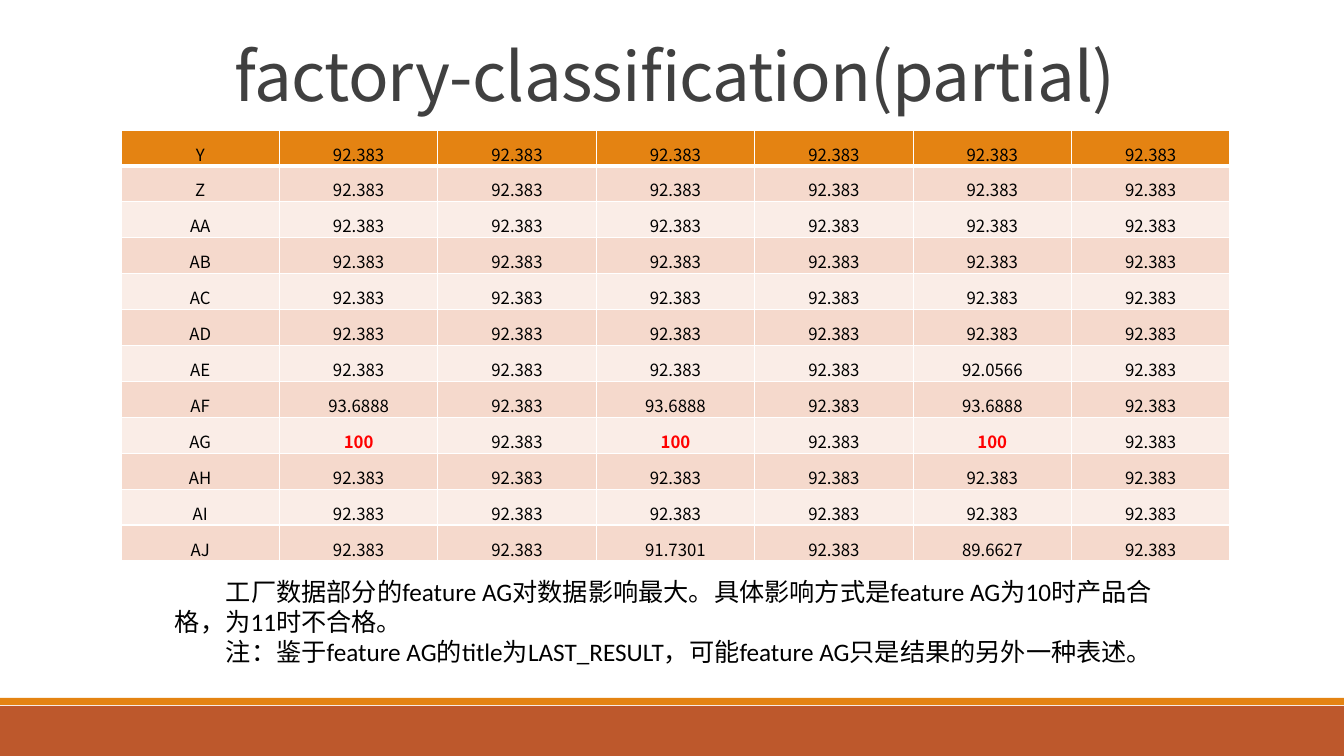
from lxml import etree
from pptx import Presentation
from pptx.dml.color import RGBColor
from pptx.enum.shapes import MSO_SHAPE
from pptx.enum.text import MSO_ANCHOR, PP_ALIGN
from pptx.oxml.ns import qn
from pptx.util import Emu, Pt

RECTANGLE = MSO_SHAPE.RECTANGLE
BOTTOM, TOP = MSO_ANCHOR.BOTTOM, MSO_ANCHOR.TOP
CENTER, LEFT = PP_ALIGN.CENTER, PP_ALIGN.LEFT

TITLE = "factory-classification(partial)"
USUAL, BEST = "92.383", "100"
FEATURES = ["Y", "Z", "AA", "AB", "AC", "AD", "AE", "AF", "AG", "AH", "AI", "AJ"]
VALUE_COLUMNS = 6
# (feature, value column): accuracy that differs from the usual one
EXCEPTIONS = {
    ("AE", 5): "92.0566",
    ("AF", 1): "93.6888", ("AF", 3): "93.6888", ("AF", 5): "93.6888",
    ("AG", 1): BEST, ("AG", 3): BEST, ("AG", 5): BEST,
    ("AJ", 3): "91.7301", ("AJ", 5): "89.6627",
}
NOTES = [
    "工厂数据部分的feature AG对数据影响最大。具体影响方式是feature AG为10时产品合格，为11时不合格。",
    "注：鉴于feature AG的title为LAST_RESULT，可能feature AG只是结果的另外一种表述。",
]

# left, top, width, height in px
SLIDE_SIZE = (1344, 756)
FOOTER_BANDS = [((0, 706, 1344, 50), "BD582C"), ((0, 698, 1344, 7), "E48312")]
TITLE_AREA = (121, 31, 1109, 89)
TABLE_AREA = (121, 130, 1109, 431)
NOTES_AREA = (165, 571, 1019, 102)
NOTES_INDENT = 51

HEADER_FILL, BAND_FILLS = "E48312", ("FAEDE7", "F5D9CC")
SANS = "Noto Sans CJK SC"
TITLE_FONT = {"name": SANS, "size": Pt(48), "bold": False}
CELL_FONT = {"name": SANS, "size": Pt(12), "bold": False}
BEST_FONT = {**CELL_FONT, "bold": True}
NOTES_FONT = {"name": "Calibri", "size": Pt(18), "bold": False}
CELL_FORMAT = {"vertical_anchor": BOTTOM, "margin_left": 1, "margin_right": 1,
               "margin_top": 1, "margin_bottom": 0}


def px(length):
    return Emu(round(length * 914400 / 100.8))


def color(hex_string):
    return RGBColor.from_string(hex_string)


def add_span(para, text, font, hex_color):
    span = para.add_run()
    span.text = text
    for name, value in font.items():
        setattr(span.font, name, value)
    span.font.color.rgb = color(hex_color)
    return span


def add_text_box(slide, area, anchor):
    frame = slide.shapes.add_textbox(*map(px, area)).text_frame
    frame.word_wrap = True
    frame.vertical_anchor = anchor
    return frame


def add_borders(cell, bottom_points):
    properties = cell._tc.get_or_add_tcPr()
    for side, points in (("L", 1), ("R", 1), ("T", 1), ("B", bottom_points)):
        line = etree.SubElement(properties, qn(f"a:ln{side}"), w=str(Pt(points)))
        fill = etree.SubElement(line, qn("a:solidFill"))
        etree.SubElement(fill, qn("a:srgbClr"), val="FFFFFF")


def add_footer(slide):
    for area, fill in FOOTER_BANDS:
        band = slide.shapes.add_shape(RECTANGLE, *map(px, area))
        band.shadow.inherit = False
        band.fill.solid()
        band.fill.fore_color.rgb = color(fill)
        band.line.fill.background()


def add_title(slide):
    para = add_text_box(slide, TITLE_AREA, BOTTOM).paragraphs[0]
    para.alignment = CENTER
    para.line_spacing = 0.85
    span = add_span(para, TITLE, TITLE_FONT, "404040")
    span.font._element.set("spc", "-50")


def fill_cell(cell, text, row):
    for name, value in CELL_FORMAT.items():
        setattr(cell, name, px(value) if name.startswith("margin") else value)
    add_borders(cell, 1 if row else 3)
    cell.fill.solid()
    cell.fill.fore_color.rgb = color(BAND_FILLS[row % 2] if row else HEADER_FILL)
    para = cell.text_frame.paragraphs[0]
    para.alignment = CENTER
    if text == BEST:
        add_span(para, text, BEST_FONT, "FF0000")
    else:
        add_span(para, text, CELL_FONT, "000000")


def add_accuracy_table(slide):
    columns = VALUE_COLUMNS + 1
    table = slide.shapes.add_table(len(FEATURES), columns, *map(px, TABLE_AREA)).table
    for row, feature in enumerate(FEATURES):
        for column in range(columns):
            value = EXCEPTIONS.get((feature, column), USUAL)
            fill_cell(table.cell(row, column), value if column else feature, row)


def add_notes(slide):
    frame = add_text_box(slide, NOTES_AREA, TOP)
    for index, note in enumerate(NOTES):
        para = frame.add_paragraph() if index else frame.paragraphs[0]
        para.alignment = LEFT
        para._p.get_or_add_pPr().set("indent", str(px(NOTES_INDENT)))
        add_span(para, note, NOTES_FONT, "000000")


def main():
    deck = Presentation()
    deck.slide_width, deck.slide_height = map(px, SLIDE_SIZE)
    slide = deck.slides.add_slide(deck.slide_layouts[6])
    add_footer(slide)
    add_title(slide)
    add_accuracy_table(slide)
    add_notes(slide)
    deck.save("out.pptx")


if __name__ == "__main__":
    main()
